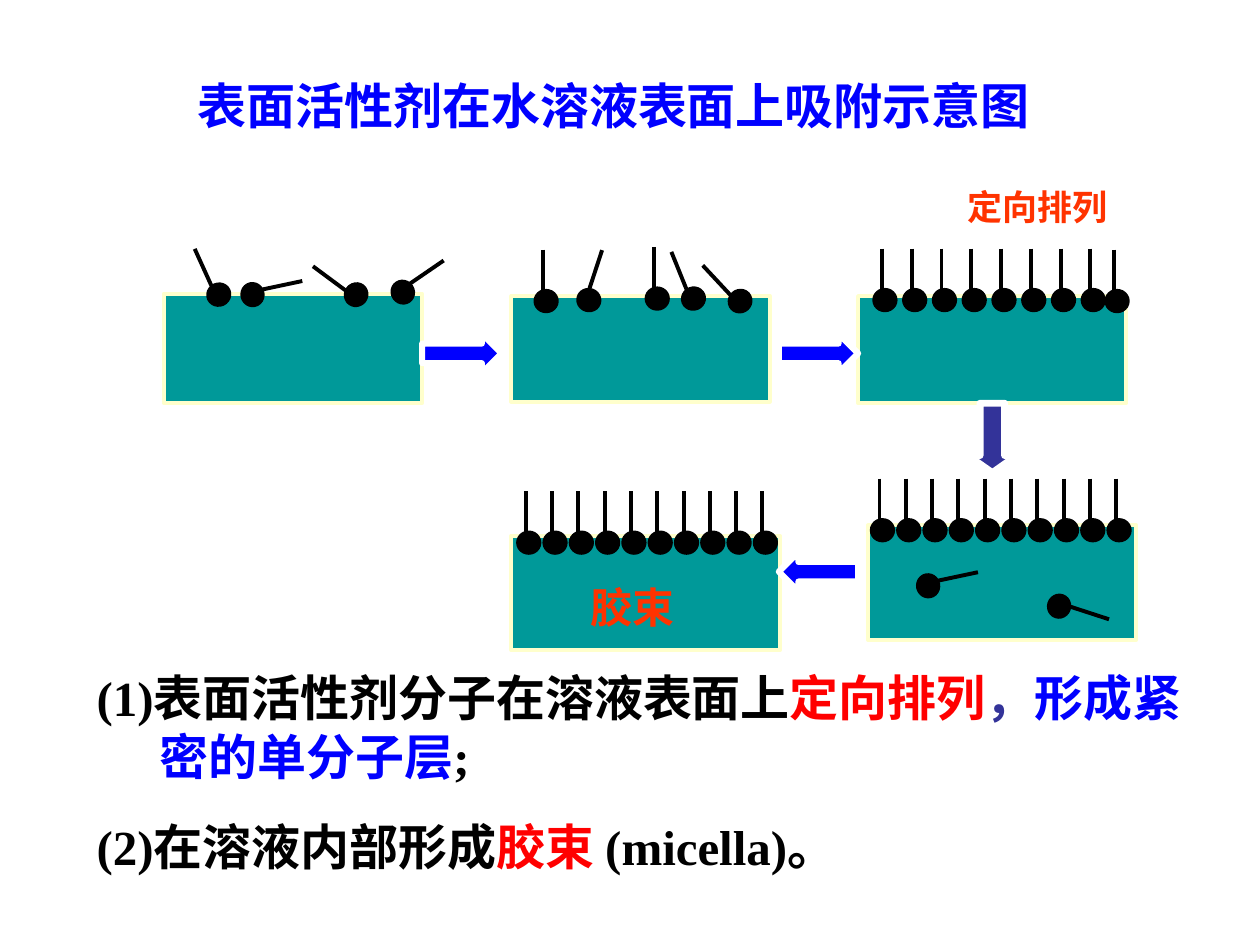
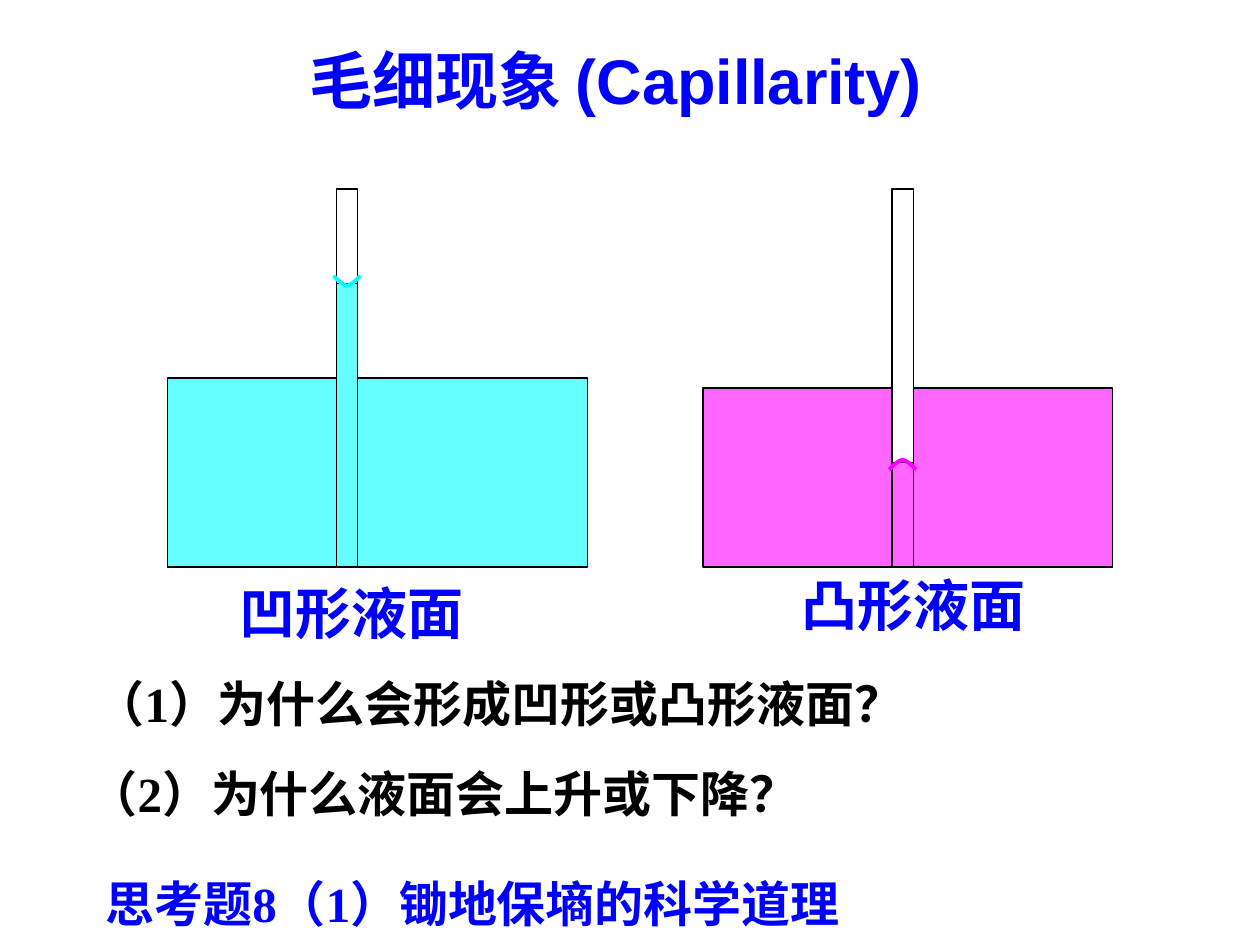
from math import cos, radians, sin

from lxml.etree import SubElement as Sub
from pptx import Presentation
from pptx.dml.color import RGBColor as Rgb
from pptx.enum.shapes import MSO_CONNECTOR as Link, MSO_SHAPE as Kind
from pptx.enum.text import MSO_AUTO_SIZE as Fit, PP_ALIGN as Align
from pptx.oxml.ns import qn
from pptx.util import Cm, Pt

HUE = {
    "blue": "0000FF", "navy": "333399", "red": "FF0000", "flame": "FF3300",
    "teal": "009999", "cream": "FFFFCC", "black": "000000", "white": "FFFFFF",
    "aqua": "66FFFF", "cyan": "00FFFF", "pink": "FF66FF", "rose": "FF00FF",
}
ROMAN, SANS, HAN = "Times New Roman", "Arial", "Noto Sans CJK SC"


class Deck:
    """Holds the style and the current slide."""

    def __init__(self):
        self.prs = Presentation()
        self.prs.slide_width, self.prs.slide_height = Cm(25.4), Cm(19.05)
        self.page = None

    def new(self):
        self.page = self.prs.slides.add_slide(self.prs.slide_layouts[6])

    def tint(self, line, hue, width):
        line.color.rgb = Rgb.from_string(HUE[hue])
        line.width = Pt(width)

    def shape(self, kind, box, fill, edge="black", width=2.25, turn=0):
        item = self.page.shapes.add_shape(kind, *map(Cm, box))
        item.shadow.inherit = False
        item.fill.solid()
        item.fill.fore_color.rgb = Rgb.from_string(HUE[fill])
        self.tint(item.line, edge, width)
        item.rotation = turn
        return item

    def stick(self, start, end):
        item = self.page.shapes.add_connector(
            Link.STRAIGHT, *map(Cm, (*start, *end)))
        self.tint(item.line, "black", 2.25)
        Sub(item._element.spPr, qn("a:effectLst"))

    def mol(self, x, y, turn=0):
        """Round head centred at x, y with a tail that turns about it."""
        wide, high = 0.43, 0.41
        self.shape(Kind.OVAL, (x - wide / 2, y - high / 2, wide, high),
                   "black", turn=turn)
        c, s = cos(radians(turn)), sin(radians(turn))
        side = -0.06
        tip, root = [(x + side * c - up * s, y + side * s + up * c)
                     for up in (-1.04, -0.2)]
        self.stick(tip, root)

    def row(self, x, y, count, step):
        for i in range(count):
            self.mol(x + i * step, y)

    def curve(self, x, y, hue, sag):
        """Open meniscus; its middle lies sag below (or above) its ends."""
        half, steps = 0.27, 12
        marks = [2 * i / steps - 1 for i in range(steps + 1)]
        spots = [(Cm(x + half * u), Cm(y + sag * (1 - abs(u) ** 1.5)))
                 for u in marks]
        pen = self.page.shapes.build_freeform(*spots[0])
        pen.add_line_segments(spots[1:], close=False)
        item = pen.convert_to_shape()
        item.shadow.inherit = False
        item.fill.background()
        self.tint(item.line, hue, 2.25)

    def text(self, box, paras, size, wrap=False, pad=True, gap=0, hang=0,
             align=Align.LEFT):
        """Each paragraph is a list of (words, colour, font) runs."""
        frame = self.page.shapes.add_textbox(*map(Cm, box)).text_frame
        look = {"word_wrap": wrap, "auto_size": Fit.SHAPE_TO_FIT_TEXT}
        if not pad:
            look.update({f"margin_{side}": 0
                         for side in ("left", "top", "right", "bottom")})
        for key, val in look.items():
            setattr(frame, key, val)
        for i, runs in enumerate(paras):
            para = frame.add_paragraph() if i else frame.paragraphs[0]
            para.alignment = align
            if i:
                para.space_before = Pt(gap)
            if hang:
                props = para._p.get_or_add_pPr()
                props.set("marL", str(Cm(hang)))
                props.set("indent", str(-Cm(hang)))
            for words, hue, face in runs:
                run = para.add_run()
                run.text = words
                style = {"size": Pt(size), "bold": True, "name": face}
                for key, val in style.items():
                    setattr(run.font, key, val)
                run.font.color.rgb = Rgb.from_string(HUE[hue])
                if face == HAN:
                    Sub(run._r.get_or_add_rPr(), qn("a:ea"), typeface=HAN)


def layer(deck):
    """Surfactant molecules gather on the water surface."""
    deck.new()
    deck.text((2.11, 1.52, 20.52, 1.19),
              [[("表面活性剂在水溶液表面上吸附示意图", "blue", ROMAN)]],
              28, wrap=True, pad=False, align=Align.CENTER)

    # Water tanks
    for box in ((3.3, 5.92, 5.21, 2.21), (10.31, 5.97, 5.21, 2.13),
                (17.3, 5.97, 5.41, 2.16), (17.5, 10.59, 5.41, 2.31),
                (10.31, 10.8, 5.41, 2.31)):
        deck.shape(Kind.RECTANGLE, box, "teal", "cream")

    # Arrows from stage to stage
    for x, y, turn in ((8.51, 6.73, 0), (15.7, 6.73, 0), (15.7, 11.13, 180)):
        deck.shape(Kind.RIGHT_ARROW, (x, y, 1.6, 0.79),
                   "blue", "white", 3.5, turn)
    down = deck.shape(Kind.DOWN_ARROW, (19.51, 8.13, 0.99, 1.4),
                      "navy", "white", 4)
    down.adjustments[1] = 0.35

    # Scattered molecules
    for spot in ((4.41, 5.94, 335.6), (5.09, 5.94, 78), (7.18, 5.94, 306.6),
                 (8.12, 5.89, 55.6), (11.01, 6.07), (11.87, 6.05, 18.2),
                 (13.25, 6.02), (13.98, 6.02, 338), (14.92, 6.07, 317),
                 (18.71, 11.81, 78), (21.35, 12.22, 108), (22.52, 6.07)):
        deck.mol(*spot)

    # Packed rows
    deck.row(17.84, 6.05, 8, 0.6)
    deck.row(17.79, 10.69, 10, 0.53)
    deck.row(10.66, 10.94, 10, 0.53)

    # Labels and notes
    deck.text((11.91, 11.73, 2.79, 1.02), [[("胶束", "flame", ROMAN)]],
              24, wrap=True, pad=False)
    deck.text((19.51, 3.73, 4.19, 0.84), [[("定向排列", "flame", ROMAN)]],
              20, wrap=True, pad=False)
    deck.text((1.7, 13.34, 22.4, 4.45), [
        [("(1)表面活性剂分子在溶液表面上", "black", ROMAN),
         ("定向排列", "red", ROMAN), ("，", "navy", ROMAN),
         ("形成紧密的单分子层", "blue", ROMAN), (";", "black", ROMAN)],
        [("(2)在溶液内部形成", "black", ROMAN), ("胶束 ", "red", ROMAN),
         ("(micella)。", "black", ROMAN)],
    ], 28, wrap=True, gap=17.5, hang=1.27)


def rise(deck):
    """Capillary tubes with a concave and a convex surface."""
    deck.new()
    deck.text((5.99, 0.71, 13.51, 1.78),
              [[("毛细现象 ", "blue", ROMAN),
                ("(Capillarity)", "blue", SANS)]], 36)

    # Vessel, tube and liquid column, all on one floor
    floor, top, bore = 11.43, 3.81, 0.43
    for x, wide, brim, tube, level, fill, rim, sag, edge in (
            (3.38, 8.46, 7.62, 6.78, 5.72, "aqua", "cyan", 0.2, 5.56),
            (14.17, 8.26, 7.82, 17.98, 9.32, "pink", "rose", -0.2, 9.47)):
        for left, span, high, hue in ((x, wide, brim, fill),
                                      (tube, bore, top, "white"),
                                      (tube, bore, level, fill)):
            deck.shape(Kind.RECTANGLE, (left, high, span, floor - high),
                       hue, width=0.75)
        deck.curve(tube + bore / 2, edge, rim, sag)

    # Labels
    for box, words in (((4.57, 11.53, 5.59, 1.63), "凹形液面"),
                       ((15.9, 11.38, 5.03, 1.63), "凸形液面")):
        deck.text(box, [[(words, "blue", ROMAN)]], 32)

    # Questions
    for box, mark, words, hue in (
            ((1.68, 13.46, 17.25, 1.45), "（1）",
             "为什么会形成凹形或凸形液面？", "black"),
            ((1.54, 15.27, 15.63, 1.45), "（2）",
             "为什么液面会上升或下降？", "black"),
            ((1.88, 17.48, 16.26, 1.45), "思考题8（1）",
             "锄地保墒的科学道理", "blue")):
        deck.text(box, [[(mark, hue, ROMAN), (words, hue, HAN)]], 28)


def main():
    deck = Deck()
    layer(deck)
    rise(deck)
    deck.prs.save("out.pptx")


if __name__ == "__main__":
    main()
